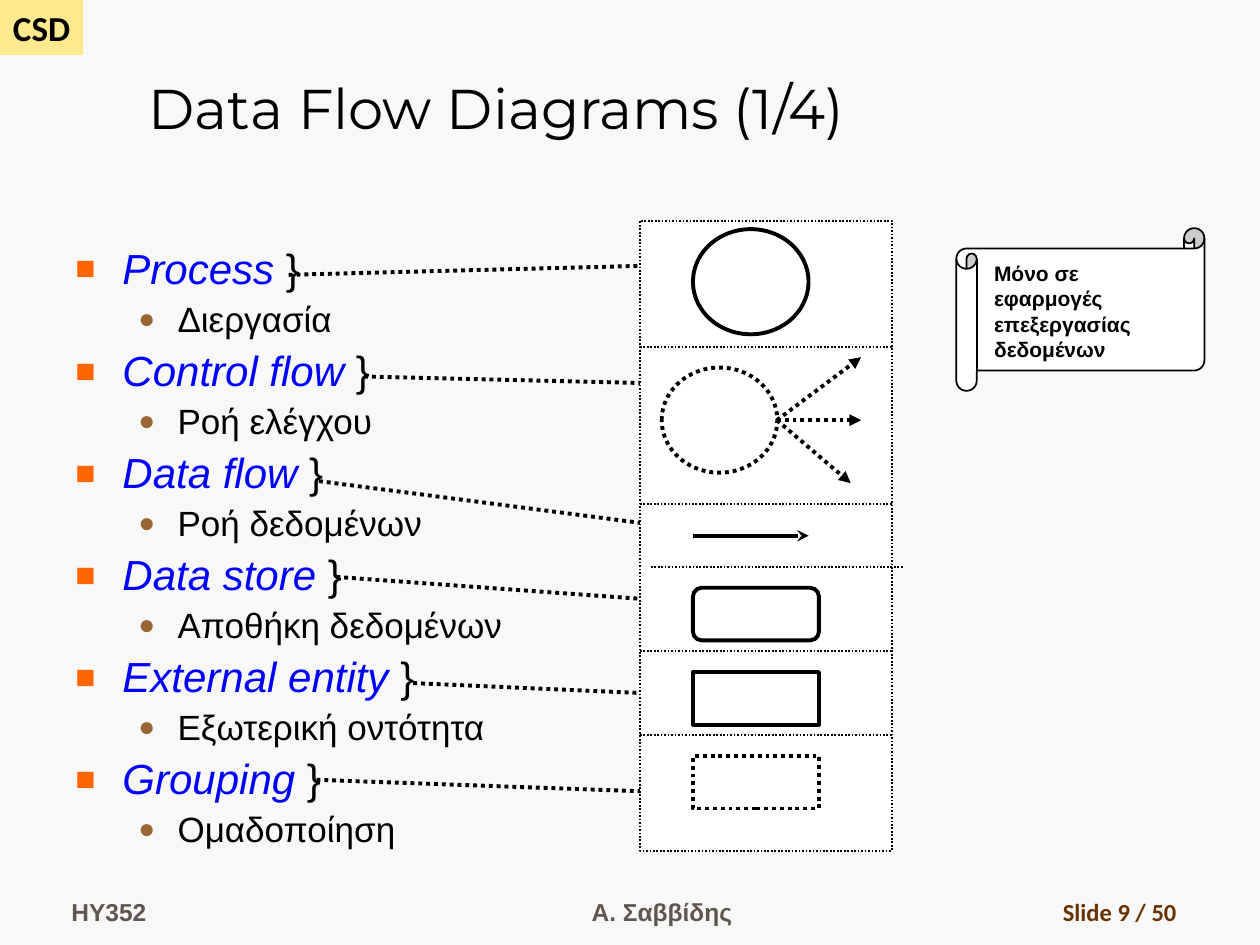
from lxml.etree import SubElement
from pptx import Presentation
from pptx.dml.color import RGBColor
from pptx.enum.dml import MSO_LINE
from pptx.enum.shapes import MSO_CONNECTOR, MSO_SHAPE as SHAPE
from pptx.enum.text import MSO_ANCHOR as ANCHOR, PP_ALIGN as ALIGN
from pptx.oxml.ns import qn
from pptx.util import Cm, Pt


def color(hex_value):
    return RGBColor.from_string(hex_value)


def set_outline(shape, width, dotted):
    shape.line.color.rgb = color("000000")
    shape.line.width = Pt(width)
    if dotted:
        shape.line.dash_style = MSO_LINE.ROUND_DOT


presentation = Presentation()
presentation.slide_width, presentation.slide_height = Cm(25.4), Cm(19.05)
slide = presentation.slides.add_slide(presentation.slide_layouts[6])
slide.background.fill.solid()
slide.background.fill.fore_color.rgb = color("F8F8F8")
shapes = slide.shapes

# Course tag
tag = shapes.add_shape(SHAPE.RECTANGLE, 0, 0, Cm(1.68), Cm(1.11))
tag.shadow.inherit = False
tag.fill.solid()
tag.fill.fore_color.rgb = color("FFE98F")
tag.line.fill.background()
tag.text_frame.word_wrap = False
paragraph = tag.text_frame.paragraphs[0]
paragraph.text = "CSD"
paragraph.font.name, paragraph.font.size, paragraph.font.bold = "Calibri", Pt(20), True
paragraph.font.color.rgb = color("000000")

# Notation panel and symbols: kind, left, top, width, height, filled, line width, dotted
PANEL_LEFT, PANEL_WIDTH = 12.9, 5.08
SYMBOL_LEFT = 13.97
symbols = [
    (SHAPE.RECTANGLE, PANEL_LEFT, 4.45, PANEL_WIDTH, 12.7, True, 1, True),
    (SHAPE.OVAL, SYMBOL_LEFT, 4.62, 2.33, 2.12, True, 2.25, False),
    (SHAPE.OVAL, 13.34, 7.41, 2.33, 2.12, True, 2.25, True),
    (SHAPE.ROUNDED_RECTANGLE, SYMBOL_LEFT, 11.85, 2.54, 1.06, True, 2.25, False),
    (SHAPE.RECTANGLE, SYMBOL_LEFT, 13.55, 2.54, 1.06, True, 2.25, False),
    (SHAPE.RECTANGLE, SYMBOL_LEFT, 15.24, 2.54, 1.06, False, 2.25, True),
    (SHAPE.HORIZONTAL_SCROLL, 19.28, 4.6, 5, 3.28, True, 1, False),
]
for kind, left, top, width, height, filled, line_width, dotted in symbols:
    symbol = shapes.add_shape(kind, Cm(left), Cm(top), Cm(width), Cm(height))
    symbol.shadow.inherit = False
    if filled:
        symbol.fill.solid()
        symbol.fill.fore_color.rgb = color("FFFFFF")
    else:
        symbol.fill.background()
    set_outline(symbol, line_width, dotted)

# Lines: start x, start y, end x, end y, width, dotted, arrowhead
lines = [(left, y, left + PANEL_WIDTH, y, 1, True, None)
         for left, y in [(PANEL_LEFT, 6.99), (PANEL_LEFT, 10.16), (13.12, 11.43),
                         (PANEL_LEFT, 13.12), (PANEL_LEFT, 14.82)]]
lines += [(15.66, 8.47, x, y, 2.25, True, "triangle")
          for x, y in [(17.36, 7.2), (17.36, 8.47), (17.15, 9.74)]]
lines += [(SYMBOL_LEFT, 10.8, 16.3, 10.8, 2.25, False, "stealth")]
lines += [(x, y, PANEL_LEFT, end_y, 2.25, True, None)
          for x, y, end_y in [(5.82, 5.54, 5.36), (7.34, 7.59, 7.72), (6.43, 9.7, 10.54),
                              (6.78, 11.63, 12.07), (8.33, 13.77, 13.97),
                              (6.38, 15.72, 15.95)]]
for x, y, end_x, end_y, width, dotted, arrowhead in lines:
    line = shapes.add_connector(MSO_CONNECTOR.STRAIGHT, Cm(x), Cm(y), Cm(end_x), Cm(end_y))
    set_outline(line, width, dotted)
    properties = line._element.spPr
    if arrowhead:
        SubElement(properties.find(qn("a:ln")), qn("a:tailEnd"), type=arrowhead)
    SubElement(properties, qn("a:effectLst"))

# Title, footer and scroll note
texts = [
    ("Data Flow Diagrams (1/4)", 2.74, 0.43, 22.66, 2.54,
     "Montserrat", 32, False, "000000", ALIGN.LEFT, ANCHOR.BOTTOM),
    ("HY352", 1.19, 17.53, 5.56, 1.27,
     "Arial", 14, True, "5E574E", ALIGN.LEFT, ANCHOR.BOTTOM),
    ("Α. Σαββίδης", 9.32, 17.53, 8.05, 1.27,
     "Arial", 14, True, "5E574E", ALIGN.CENTER, ANCHOR.BOTTOM),
    ("Slide 9 / 50", 18.69, 17.53, 5.28, 1.27,
     "Calibri", 14, True, "663300", ALIGN.RIGHT, ANCHOR.BOTTOM),
    ("Μόνο σε εφαρμογές επεξεργασίας δεδομένων", 19.79, 5.13, 3.96, 2.29,
     "Arial", 12, True, "000000", ALIGN.LEFT, ANCHOR.TOP),
]
for text, left, top, width, height, font, size, bold, hex_value, align, anchor in texts:
    box = shapes.add_textbox(Cm(left), Cm(top), Cm(width), Cm(height))
    box.text_frame.word_wrap = True
    box.text_frame.vertical_anchor = anchor
    paragraph = box.text_frame.paragraphs[0]
    paragraph.text = text
    paragraph.alignment = align
    paragraph.font.name, paragraph.font.size, paragraph.font.bold = font, Pt(size), bold
    paragraph.font.color.rgb = color(hex_value)

# Terms with their translations
terms = [
    ("Process", "Διεργασία"),
    ("Control flow", "Ροή ελέγχου"),
    ("Data flow", "Ροή δεδομένων"),
    ("Data store", "Αποθήκη δεδομένων"),
    ("External entity", "Εξωτερική οντότητα"),
    ("Grouping", "Ομαδοποίηση"),
]
# Level styles: text size, space before, margin, hanging indent, bullet, bullet colour
levels = [(24, 5.8, 0.95, 0.95, "■", "FF6600"), (20, 5, 2.06, 0.79, "●", "996633")]
body = shapes.add_textbox(Cm(1.27), Cm(4.88), Cm(9.32), Cm(12.27)).text_frame
body.word_wrap = True
for index, (term, translation) in enumerate(terms):
    rows = [[(term, "0000FF", True), (" }", "000000", False)],
            [(translation, "000000", False)]]
    for level, row in enumerate(rows):
        size, space, margin, hanging, bullet, bullet_color = levels[level]
        first = index == 0 and level == 0
        paragraph = body.paragraphs[0] if first else body.add_paragraph()
        paragraph.level = level
        paragraph.line_spacing = 0.9
        paragraph.space_before = Pt(space)
        properties = paragraph._p.get_or_add_pPr()
        properties.set("marL", str(Cm(margin)))
        properties.set("indent", str(-Cm(hanging)))
        SubElement(SubElement(properties, qn("a:buClr")), qn("a:srgbClr"), val=bullet_color)
        SubElement(properties, qn("a:buSzPct"), val="80000")
        SubElement(properties, qn("a:buFont"), typeface="Arial")
        SubElement(properties, qn("a:buChar"), char=bullet)
        paragraph.font.name, paragraph.font.size = "Arial", Pt(size)
        for text, hex_value, italic in row:
            run = paragraph.add_run()
            run.text = text
            run.font.italic = italic
            run.font.color.rgb = color(hex_value)

presentation.save("out.pptx")
